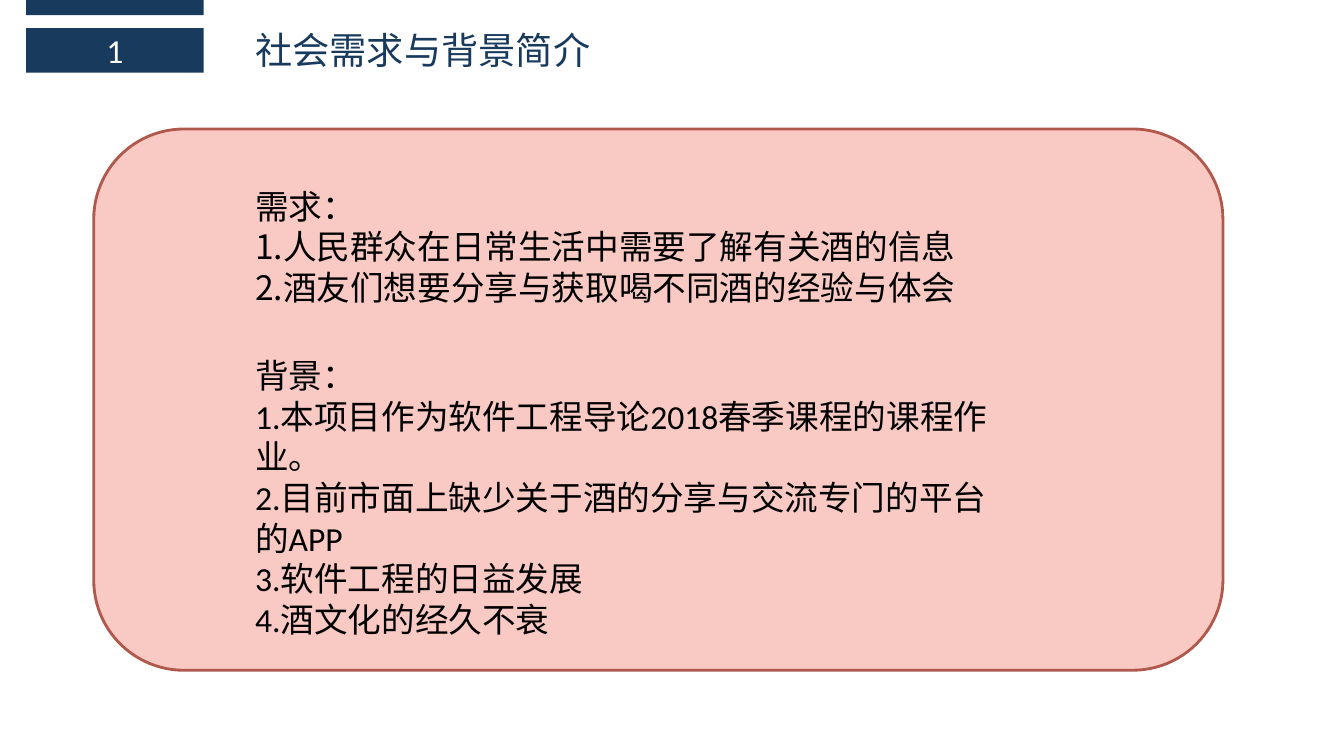
"""Build the slide on social demand and project background."""
from dataclasses import dataclass

from lxml import etree
from pptx import Presentation
from pptx.dml.color import RGBColor
from pptx.enum.shapes import MSO_SHAPE
from pptx.enum.text import MSO_ANCHOR, MSO_AUTO_SIZE, PP_ALIGN
from pptx.oxml.ns import qn
from pptx.util import Inches, Pt

ROUNDED, RECTANGLE = MSO_SHAPE.ROUNDED_RECTANGLE, MSO_SHAPE.RECTANGLE
TOP, MIDDLE = MSO_ANCHOR.TOP, MSO_ANCHOR.MIDDLE
LEFT, CENTER = PP_ALIGN.LEFT, PP_ALIGN.CENTER
NO_AUTOFIT = MSO_AUTO_SIZE.NONE

NAVY = RGBColor(0x18, 0x3A, 0x5D)
PINK = RGBColor(0xF9, 0xC9, 0xC3)
BRICK = RGBColor(0xB1, 0x58, 0x4D)
WHITE = RGBColor(0xFF, 0xFF, 0xFF)
BLACK = RGBColor(0x00, 0x00, 0x00)
LATIN_FONT = "Calibri"
CHINESE_FONT = "Noto Sans CJK SC"
TEXT_LEFT = 2.43


@dataclass(frozen=True)
class Box:
    left: float
    top: float
    width: float
    height: float


@dataclass(frozen=True)
class Panel:
    box: Box
    kind: int
    fill: RGBColor
    outline: RGBColor | None = None


@dataclass(frozen=True)
class TextBlock:
    box: Box
    lines: tuple[str, ...]
    font: str = CHINESE_FONT
    size: float = 24
    line_height: float = 29
    color: RGBColor = BLACK


CARD = Panel(Box(0.93, 1.28, 11.2, 5.37), ROUNDED, PINK, BRICK)
TOP_BAR = Panel(Box(0.26, 0, 1.76, 0.15), RECTANGLE, NAVY)
NUMBER_BADGE = Panel(Box(0.26, 0.28, 1.76, 0.44), RECTANGLE, NAVY)

TEXT_BLOCKS = (
    TextBlock(Box(TEXT_LEFT, 0.21, 6.62, 0.55), ("社会需求与背景简介",),
              size=26.6, line_height=32.4, color=NAVY),
    TextBlock(Box(TEXT_LEFT, 1.79, 8.36, 1.31), (
        "需求：",
        "1.人民群众在日常生活中需要了解有关酒的信息",
        "2.酒友们想要分享与获取喝不同酒的经验与体会",
    )),
    TextBlock(Box(TEXT_LEFT, 3.47, 7.56, 2.93), (
        "背景：",
        "1.本项目作为软件工程导论2018春季课程的课程作业。",
        "2.目前市面上缺少关于酒的分享与交流专门的平台的APP",
        "3.软件工程的日益发展",
        "4.酒文化的经久不衰",
    ), font=LATIN_FONT),
)


def add_panel(slide, panel: Panel):
    """Draw a filled preset shape."""
    box = panel.box
    shape = slide.shapes.add_shape(panel.kind, Inches(box.left), Inches(box.top),
                                   Inches(box.width), Inches(box.height))
    shape.shadow.inherit = False
    shape.fill.solid()
    shape.fill.fore_color.rgb = panel.fill
    if panel.outline is None:
        shape.line.fill.background()
    else:
        shape.line.color.rgb = panel.outline
        shape.line.width = Pt(2)
    return shape


def write_text(shape, lines: tuple[str, ...], *, font: str, size: float, color: RGBColor,
               line_height: float, align: int = LEFT, anchor: int = TOP) -> None:
    """Fill a shape with unbulleted, formatted paragraphs."""
    frame = shape.text_frame
    frame.text = "\n".join(lines)
    frame.word_wrap = True
    frame.auto_size = NO_AUTOFIT
    frame.vertical_anchor = anchor
    for paragraph in frame.paragraphs:
        paragraph.alignment = align
        paragraph.line_spacing = Pt(line_height)
        paragraph.space_before = paragraph.space_after = Pt(0)
        properties = paragraph._p.get_or_add_pPr()
        properties.set("marL", "0")
        properties.set("indent", "0")
        etree.SubElement(properties, qn("a:buNone"))
        for run in paragraph.runs:
            run.font.name = font
            run.font.size = Pt(size)
            run.font.color.rgb = color
            east_asian = etree.SubElement(run.font._element, qn("a:ea"))
            east_asian.set("typeface", CHINESE_FONT)


def place_text(placeholder, block: TextBlock) -> None:
    """Move a placeholder to the front, position it and write its text."""
    box = block.box
    placeholder.left, placeholder.top = Inches(box.left), Inches(box.top)
    placeholder.width, placeholder.height = Inches(box.width), Inches(box.height)
    placeholder.element.getparent().append(placeholder.element)
    write_text(placeholder, block.lines, font=block.font, size=block.size,
               color=block.color, line_height=block.line_height)


def main() -> None:
    """Create and save the presentation."""
    presentation = Presentation()
    presentation.slide_width, presentation.slide_height = Inches(13.33), Inches(7.5)
    two_content_layout = presentation.slide_layouts[3]
    slide = presentation.slides.add_slide(two_content_layout)
    placeholders = list(slide.placeholders)

    add_panel(slide, CARD)
    add_panel(slide, TOP_BAR)
    badge = add_panel(slide, NUMBER_BADGE)
    write_text(badge, ("1",), font=LATIN_FONT, size=24, color=WHITE,
               line_height=29, align=CENTER, anchor=MIDDLE)
    for placeholder, block in zip(placeholders, TEXT_BLOCKS):
        place_text(placeholder, block)

    presentation.save("out.pptx")


if __name__ == "__main__":
    main()
